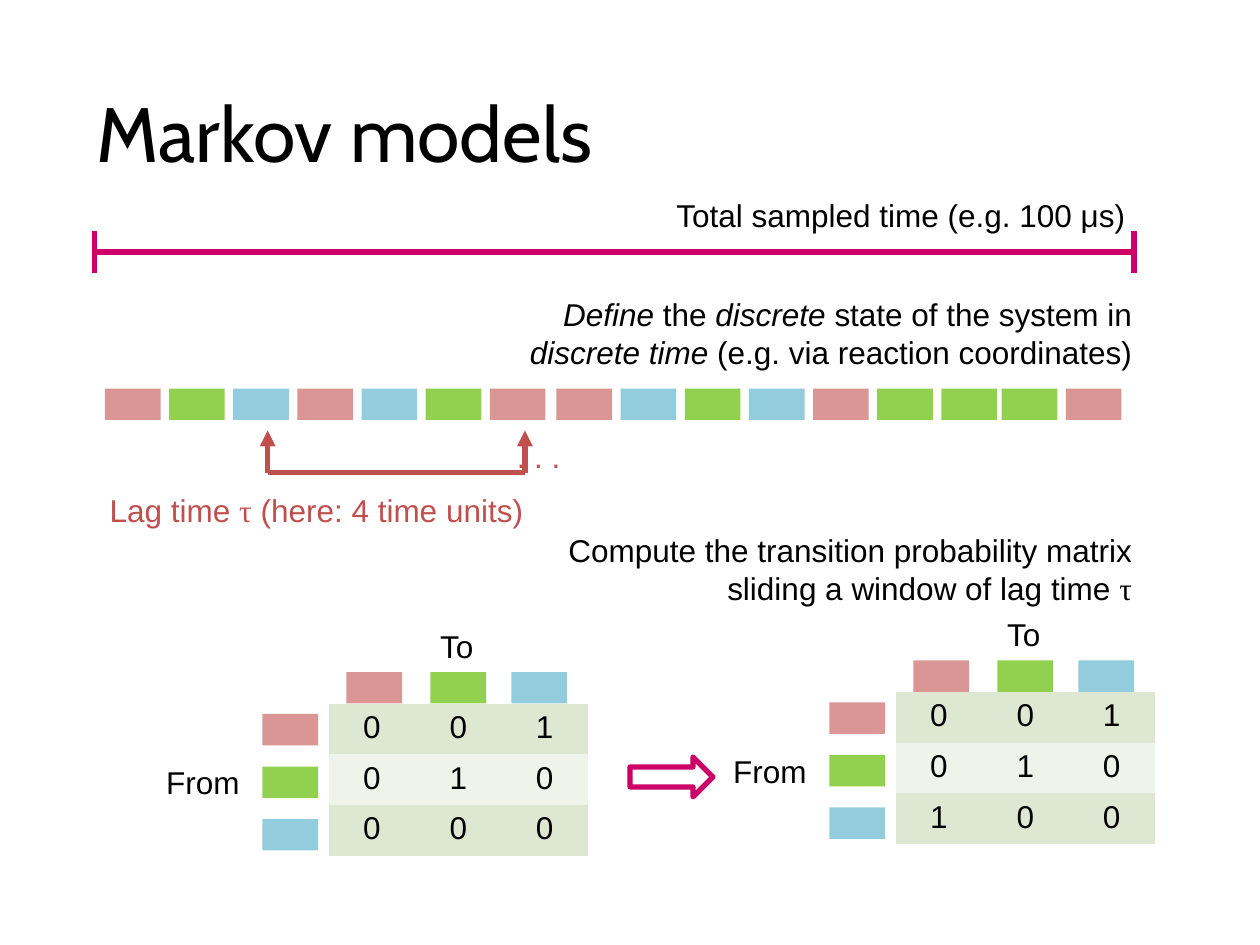
import pptx
import pptx.util
import pptx.dml.color
import pptx.enum.shapes
import pptx.enum.text
import pptx.oxml.ns
from dataclasses import dataclass
from lxml import etree

SHAPE = pptx.enum.shapes.MSO_SHAPE
ALIGN = pptx.enum.text.PP_ALIGN
ANCHOR = pptx.enum.text.MSO_ANCHOR
qn = pptx.oxml.ns.qn


@dataclass(frozen=True)
class Theme:
    text: str = "000000"
    accent: str = "CC0066"
    lag: str = "C0504D"
    bands: tuple = ("DEE7D1", "EFF3EA")
    title_font: str = "Cabin"
    body_font: str = "Arial"
    greek_font: str = "Times New Roman"
    title_size: int = 44
    body_size: int = 18
    line_width: int = 3


THEME = Theme()
STATES = {"R": "D99694", "G": "92D050", "B": "93CDDD"}
COLUMNS = 120  # grid of 120 columns by 90 rows on the slide
UNIT = pptx.util.Inches(10) / COLUMNS
TILE_W, TILE_H, TILE_PITCH = 5.3, 3, 6.11
LABEL_H = 4.8
NO_STYLE_TABLE = "{2D5ABB26-0587-4C30-8999-92F81FD0307C}"


def grid(*lengths):
    return [pptx.util.Emu(round(n * UNIT)) for n in lengths]


def rgb(color):
    return pptx.dml.color.RGBColor.from_string(color)


def write(p, runs, align, color=THEME.text, size=THEME.body_size):
    """Fill a paragraph from (text, font overrides) pairs."""
    p.alignment = align
    for text, overrides in runs:
        r = p.add_run()
        r.text = text
        font = {"name": THEME.body_font, "size": pptx.util.Pt(size), **overrides}
        for name, value in font.items():
            setattr(r.font, name, value)
        r.font.color.rgb = rgb(color)


def add_text(s, box, runs, align=ALIGN.CENTER, color=THEME.text, wrap=True):
    tf = s.shapes.add_textbox(*grid(*box)).text_frame
    tf.word_wrap = wrap
    write(tf.paragraphs[0], runs, align, color)


def add_tile(s, x, y, state):
    sp = s.shapes.add_shape(SHAPE.RECTANGLE, *grid(x, y, TILE_W, TILE_H))
    sp.shadow.inherit = False
    sp.fill.solid()
    sp.fill.fore_color.rgb = rgb(STATES[state])
    sp.line.fill.background()


def add_line(s, x1, y1, x2, y2, color, arrow=False):
    kind = pptx.enum.shapes.MSO_CONNECTOR.STRAIGHT
    line = s.shapes.add_connector(kind, *grid(x1, y1, x2, y2))
    line.line.color.rgb = rgb(color)
    line.line.width = pptx.util.Pt(THEME.line_width)
    if arrow:
        ln = line.line._get_or_add_ln()
        etree.SubElement(ln, qn("a:tailEnd"), type="triangle")
    etree.SubElement(line._element.spPr, qn("a:effectLst"))


def add_title(s, box, text):
    title = s.shapes.title
    title.left, title.top, title.width, title.height = grid(*box)
    title.text_frame.vertical_anchor = ANCHOR.MIDDLE
    write(title.text_frame.paragraphs[0], [(text, {"name": THEME.title_font})],
          ALIGN.LEFT, size=THEME.title_size)


def add_time_span(s, x, y, width, height):
    """Horizontal bar with an end stop on each side."""
    add_line(s, x, y + height / 2, x + width, y + height / 2, THEME.accent)
    for end in (x, x + width):
        add_line(s, end, y, end, y + height, THEME.accent)


def add_trajectory(s, y, segments):
    for x, states in segments:
        for i, state in enumerate(states):
            add_tile(s, x + i * TILE_PITCH, y, state)


def add_lag_window(s, x, y, width, height):
    """Bracket whose two ends point up at the compared states."""
    for end in (x + width, x):
        add_line(s, end, y + height, end, y, THEME.lag, arrow=True)
    add_line(s, x, y + height, x + width, y + height, THEME.lag)


def add_matrix(s, x, y, counts):
    """Transition matrix with state tiles and labels on both axes."""
    add_text(s, (x, y + 13, 13, LABEL_H), [("From", {})], ALIGN.RIGHT)
    add_text(s, (x + 26, y, 13, LABEL_H), [("To", {})])
    for i, (state, column) in enumerate(zip(STATES, (22, 30, 37.7))):
        add_tile(s, x + 14, y + 8.9 + 5 * i, state)
        add_tile(s, x + column, y + 4.9, state)

    size = len(counts)
    frame = s.shapes.add_table(size, size, *grid(x + 20.3, y + 7.9, 24.7, 14.5))
    next(frame._element.iter(qn("a:tableStyleId"))).text = NO_STYLE_TABLE
    table = frame.table
    table.first_row = table.horz_banding = False
    for i, row in enumerate(counts):
        for j, count in enumerate(row):
            cell = table.cell(i, j)
            cell.fill.solid()
            cell.fill.fore_color.rgb = rgb(THEME.bands[i % 2])
            write(cell.text_frame.paragraphs[0], [(count, {})], ALIGN.CENTER)


def add_step_arrow(s, box):
    arrow = s.shapes.add_shape(SHAPE.RIGHT_ARROW, *grid(*box))
    arrow.shadow.inherit = False
    arrow.fill.background()
    arrow.line.color.rgb = rgb(THEME.accent)
    arrow.line.width = pptx.util.Pt(THEME.line_width)


def build_markov_slide(prs):
    s = prs.slides.add_slide(prs.slide_layouts[5])
    tau = ("τ", {"name": THEME.greek_font})
    italic = {"italic": True}

    add_title(s, (8, 5, 108, 15), "Markov models")
    add_time_span(s, 9, 22, 99, 4)
    add_text(s, (63, 18.1, 45.6, LABEL_H),
             [("Total sampled time (e.g. 100 μs)", {})], wrap=False)
    add_text(s, (43, 27.5, 66, 8.5),
             [("Define", italic), (" the ", {}), ("discrete ", italic),
              ("state of the system in ", {}), ("discrete time ", italic),
              ("(e.g. via reaction coordinates)", {})], ALIGN.RIGHT)

    add_trajectory(s, 37, [(10, "RGBRBGR"), (53, "RBGBRGG"), (95.4, "GR")])
    add_lag_window(s, 25.5, 41, 24.5, 4)
    add_text(s, (9, 46.2, 43.1, LABEL_H),
             [("Lag time ", {}), tau, (" (here: 4 time units) ", {})],
             color=THEME.lag, wrap=False)
    add_text(s, (48, 41, 6.6, LABEL_H), [(". . .", {})], color=THEME.lag, wrap=False)

    add_text(s, (48, 50, 61, 8.5),
             [("Compute the transition probability matrix sliding a window of lag time ", {}),
              tau], ALIGN.RIGHT)
    add_matrix(s, 11, 59.1, ("001", "010", "000"))
    add_step_arrow(s, (60, 72.1, 7.9, 3.8))
    add_matrix(s, 65, 58, ("001", "010", "100"))


def main():
    prs = pptx.Presentation()
    prs.slide_width, prs.slide_height = grid(COLUMNS, 90)
    build_markov_slide(prs)
    prs.save("out.pptx")


if __name__ == "__main__":
    main()
